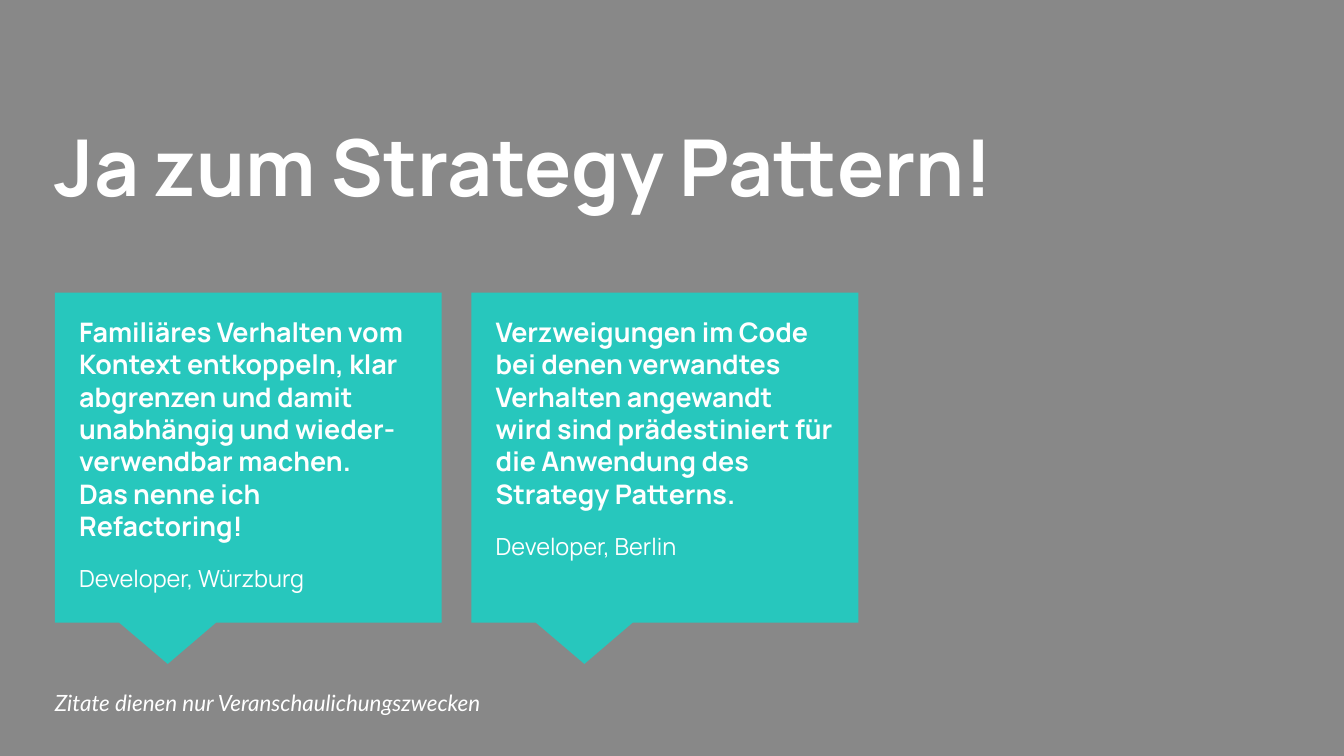
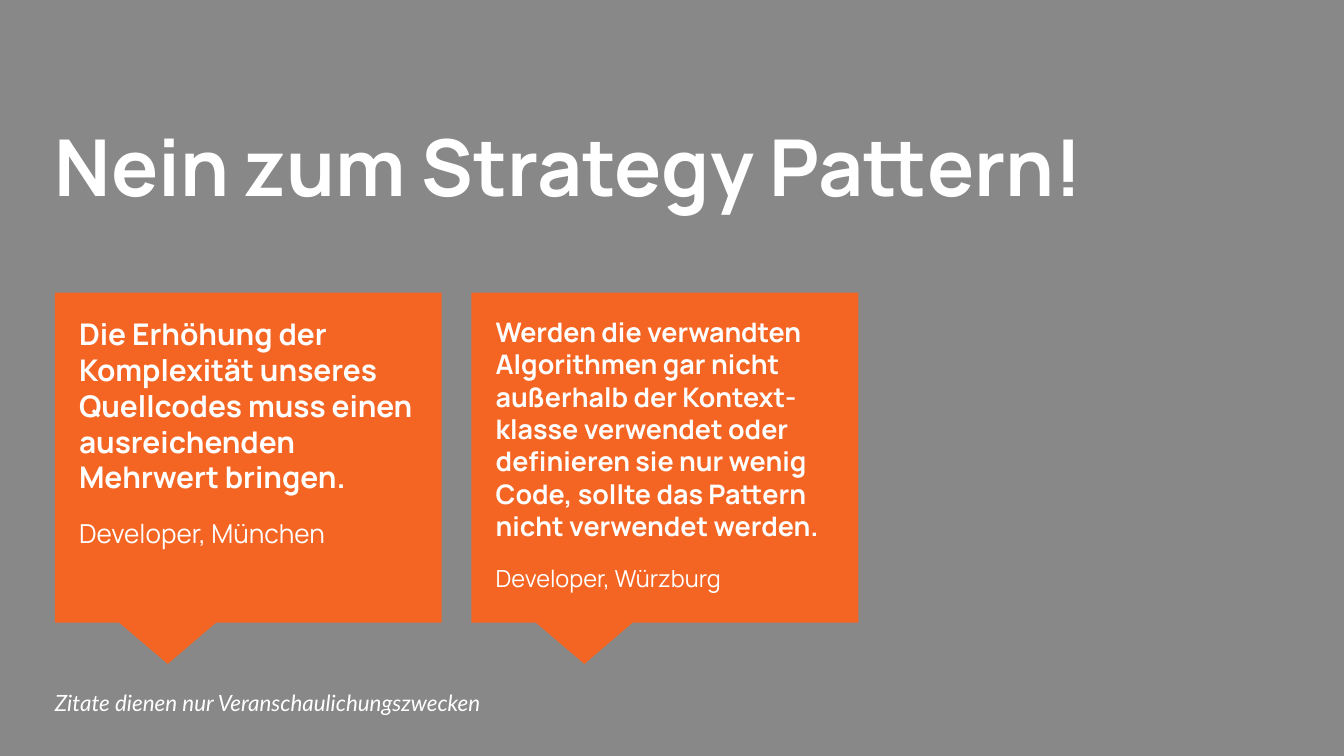
from dataclasses import dataclass

from pptx import Presentation
from pptx.dml.color import RGBColor
from pptx.enum import shapes, text
from pptx.util import Pt

GREY = RGBColor(0x88, 0x88, 0x88)
WHITE = RGBColor(0xFF, 0xFF, 0xFF)
TEAL = RGBColor(0x27, 0xC7, 0xBD)
ORANGE = RGBColor(0xF4, 0x65, 0x24)
HEAD = "Manrope"
BODY = "Lato"
LEFT = 22.3
STEP = 223.2
NOTE = "Zitate dienen nur Veranschaulichungszwecken"


@dataclass(frozen=True)
class Quote:
    words: str
    source: str
    size: float = 14.4
    small: float = 12.6
    after: float = 12


@dataclass(frozen=True)
class Page:
    title: str
    color: RGBColor
    quotes: tuple[Quote, ...]


PAGES = (
    Page("Ja zum Strategy Pattern!", TEAL, (
        Quote("Familiäres Verhalten vom Kontext entkoppeln, klar abgrenzen "
              "und damit unabhängig und wieder- verwendbar machen.\v"
              "Das nenne ich Refactoring!", "Developer, Würzburg"),
        Quote("Verzweigungen im Code bei denen verwandtes Verhalten angewandt "
              "wird sind prädestiniert für die Anwendung des "
              "Strategy Patterns.", "Developer, Berlin", after=0),
    )),
    Page("Nein zum Strategy Pattern!", ORANGE, (
        Quote("Die Erhöhung der Komplexität unseres Quellcodes muss einen "
              "ausreichenden Mehrwert bringen.", "Developer, München", 16, 14),
        Quote("Werden die verwandten Algorithmen gar nicht außerhalb der "
              "Kontext-\vklasse verwendet oder definieren sie nur wenig Code, "
              "sollte das Pattern nicht verwendet werden.",
              "Developer, Würzburg"),
    )),
)


def frame(slide, left: float, top: float, width: float, height: float,
          anchor=text.MSO_ANCHOR.TOP):
    box = slide.shapes.add_textbox(Pt(left), Pt(top), Pt(width), Pt(height))
    body = box.text_frame
    body.word_wrap = True
    body.vertical_anchor = anchor
    body.margin_left = body.margin_right = Pt(7.2)
    body.margin_top = body.margin_bottom = Pt(7.2)
    return body


def write(para, words: str, *, size: float, font: str = HEAD,
          bold: bool = False, italic: bool = False,
          before: float = 0, after: float = 0) -> None:
    para.text = words
    para.space_before = Pt(before)
    para.space_after = Pt(after)
    for run in para.runs:
        run.font.name = font
        run.font.size = Pt(size)
        run.font.bold = bold
        run.font.italic = italic
        run.font.color.rgb = WHITE


def bubble(slide, left: float, color: RGBColor) -> None:
    shape = slide.shapes.add_shape(
        shapes.MSO_SHAPE.RECTANGULAR_CALLOUT,
        Pt(left), Pt(156.8), Pt(207.2), Pt(176.8))
    shape.adjustments[0] = -0.208
    shape.adjustments[1] = 0.625
    shape.shadow.inherit = False
    shape.fill.solid()
    shape.fill.fore_color.rgb = color
    shape.line.fill.background()


def cite(slide, left: float, quote: Quote) -> None:
    body = frame(slide, left, 162, 195.2, 157.7)
    write(body.paragraphs[0], quote.words, size=quote.size, bold=True)
    write(body.add_paragraph(), quote.source, size=quote.small,
          before=12, after=quote.after)


def draw(deck, page: Page) -> None:
    slide = deck.slides.add_slide(deck.slide_layouts[6])
    slide.background.fill.solid()
    slide.background.fill.fore_color.rgb = GREY
    title = frame(slide, LEFT, 56.2, 679, 80.6)
    write(title.paragraphs[0], page.title, size=42, bold=True)
    for col, quote in enumerate(page.quotes):
        bubble(slide, 29.4 + col * STEP, page.color)
        cite(slide, 35.3 + col * STEP, quote)
    note = frame(slide, LEFT, 366.5, 491.8, 20.2, text.MSO_ANCHOR.MIDDLE)
    write(note.paragraphs[0], NOTE, size=12, font=BODY, italic=True)


def main() -> None:
    deck = Presentation()
    deck.slide_width = Pt(720)
    deck.slide_height = Pt(405)
    for page in PAGES:
        draw(deck, page)
    deck.save("out.pptx")


if __name__ == "__main__":
    main()
